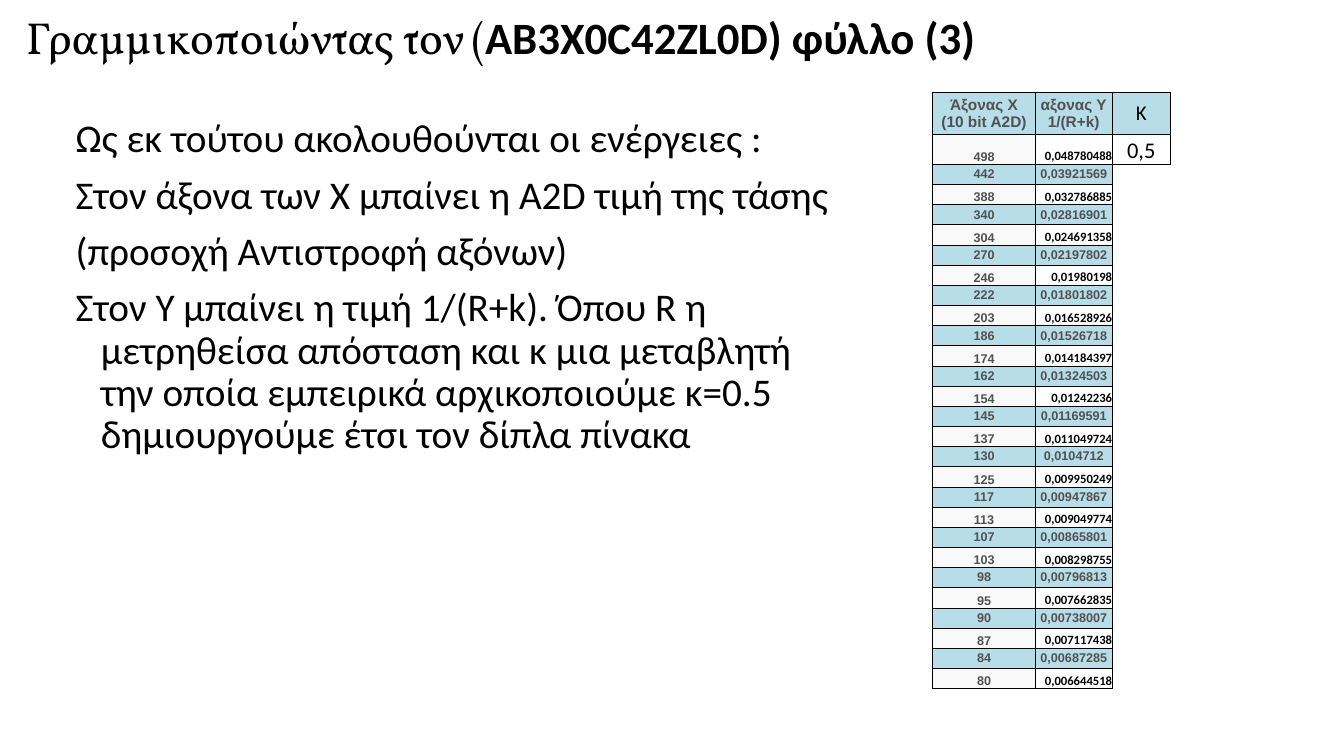
from lxml import etree
from pptx import Presentation
from pptx import util as u
from pptx.dml.color import RGBColor
from pptx.enum import text
from pptx.oxml.ns import qn

BLACK = RGBColor(0x00, 0x00, 0x00)
GREY = RGBColor(0x51, 0x51, 0x51)
BLUE = RGBColor(0xB6, 0xDD, 0xE8)
PALE = RGBColor(0xF9, 0xF9, 0xF9)

LEFT, CENTER, RIGHT = text.PP_ALIGN.LEFT, text.PP_ALIGN.CENTER, text.PP_ALIGN.RIGHT
MIDDLE, BOTTOM = text.MSO_ANCHOR.MIDDLE, text.MSO_ANCHOR.BOTTOM

STEPS = [
    "Ως εκ τούτου ακολουθούνται οι ενέργειες :",
    "Στον άξονα των Χ μπαίνει η A2D τιμή της τάσης",
    "(προσοχή Αντιστροφή αξόνων)",
    "Στον Y μπαίνει η τιμή 1/(R+k). Όπου R η μετρηθείσα απόσταση και κ μια μεταβλητή "
    "την οποία εμπειρικά αρχικοποιούμε κ=0.5 δημιουργούμε έτσι τον δίπλα πίνακα",
]
READINGS = [
    ("498", "0,048780488"), ("442", "0,03921569"), ("388", "0,032786885"),
    ("340", "0,02816901"), ("304", "0,024691358"), ("270", "0,02197802"),
    ("246", "0,01980198"), ("222", "0,01801802"), ("203", "0,016528926"),
    ("186", "0,01526718"), ("174", "0,014184397"), ("162", "0,01324503"),
    ("154", "0,01242236"), ("145", "0,01169591"), ("137", "0,011049724"),
    ("130", "0,0104712"), ("125", "0,009950249"), ("117", "0,00947867"),
    ("113", "0,009049774"), ("107", "0,00865801"), ("103", "0,008298755"),
    ("98", "0,00796813"), ("95", "0,007662835"), ("90", "0,00738007"),
    ("87", "0,007117438"), ("84", "0,00687285"), ("80", "0,006644518"),
]


def place(holder, left, top, width, height):
    holder.left, holder.top = u.Inches(left), u.Inches(top)
    holder.width, holder.height = u.Inches(width), u.Inches(height)
    holder.text_frame.word_wrap = True
    holder.text_frame.auto_size = text.MSO_AUTO_SIZE.NONE


def add_run(paragraph, words, size, font, color=BLACK, bold=False):
    run = paragraph.add_run()
    run.text = words
    run.font.size, run.font.name = u.Pt(size), font
    run.font.color.rgb, run.font.bold = color, bold


def add_title(slide):
    title = slide.shapes.title
    place(title, 0.16, -0.03, 12.6, 0.85)
    title.text_frame.vertical_anchor = MIDDLE
    heading = title.text_frame.paragraphs[0]
    heading.alignment, heading.line_spacing = LEFT, 0.9
    add_run(heading, "Γραμμικοποιώντας τον (", 32, "Vollkorn")
    add_run(heading, "AB3X0C42ZL0D) φύλλο (3)", 32, "Calibri", bold=True)


def add_steps(slide):
    body = slide.placeholders[1]
    place(body, 0.65, 1.13, 7.9, 5.96)
    for i, step in enumerate(STEPS):
        line = body.text_frame.add_paragraph() if i else body.text_frame.paragraphs[0]
        line.line_spacing = 0.9
        line.space_before = u.Pt(10 if i else 0)
        properties = line._p.get_or_add_pPr()
        properties.set("marL", str(u.Inches(0.25)))
        properties.set("indent", str(-u.Inches(0.25)))
        etree.SubElement(properties, qn("a:buNone"))
        add_run(line, step, 28, "Calibri")


def set_borders(cell, drawn):
    """Draw a thin black line on the given sides and none on the others."""
    properties = cell._tc.get_or_add_tcPr()
    for side in "LRTB":
        line = etree.SubElement(properties, qn(f"a:ln{side}"), w=str(u.Pt(0.5)))
        if side in drawn:
            fill = etree.SubElement(line, qn("a:solidFill"))
            etree.SubElement(fill, qn("a:srgbClr"), val=str(BLACK))
        else:
            etree.SubElement(line, qn("a:noFill"))


def format_cell(cell, fill=None, anchor=MIDDLE, borders="LRTB"):
    cell.margin_left = cell.margin_right = cell.margin_top = cell.margin_bottom = 0
    cell.vertical_anchor = anchor
    set_borders(cell, borders)
    if fill is None:
        cell.fill.background()
    else:
        cell.fill.solid()
        cell.fill.fore_color.rgb = fill


def fill_cell(cell, words, size, font, color, bold, align=CENTER, **style):
    format_cell(cell, **style)
    paragraph = cell.text_frame.paragraphs[0]
    paragraph.alignment = align
    for i, part in enumerate(words.split("\n")):
        if i:
            paragraph.add_line_break()
        add_run(paragraph, part, size, font, color, bold)


def leave_empty(cell, borders):
    format_cell(cell, borders=borders)
    # Small end mark keeps the row from growing
    etree.SubElement(cell.text_frame.paragraphs[0]._p, qn("a:endParaRPr"), sz="900")


def add_readings(slide):
    rows = len(READINGS) + 1
    table = slide.shapes.add_table(rows, 3, u.Inches(9.25), u.Inches(0.92),
                                   u.Inches(2.36), u.Inches(5.93)).table
    table.first_row = table.horz_banding = False
    for column, width in zip(table.columns, (1.02, 0.76, 0.58)):
        column.width = u.Inches(width)
    for row, height in zip(table.rows, [0.41, 0.3] + [0.2] * (rows - 2)):
        row.height = u.Inches(height)

    # Header and the constant k
    for col, label in enumerate(("Άξονας Χ\n(10 bit A2D)", "αξονας Υ\n1/(R+k)")):
        fill_cell(table.cell(0, col), label, 11, "Arial", GREY, True, fill=BLUE)
    fill_cell(table.cell(0, 2), "Κ", 15, "Calibri", BLACK, False, fill=BLUE)
    fill_cell(table.cell(1, 2), "0,5", 16, "Calibri", BLACK, False, anchor=BOTTOM)

    # Alternating rows of readings
    for r, (voltage, inverse) in enumerate(READINGS, 1):
        x_cell, y_cell = table.cell(r, 0), table.cell(r, 1)
        if r % 2:
            fill_cell(x_cell, voltage, 9, "Arial", GREY, True, fill=PALE, anchor=BOTTOM)
            fill_cell(y_cell, inverse, 9, "Calibri", BLACK, True, RIGHT, anchor=BOTTOM)
        else:
            fill_cell(x_cell, voltage, 9, "Arial", GREY, True, fill=BLUE)
            fill_cell(y_cell, inverse, 9, "Arial", GREY, True, fill=BLUE)
        if r > 1:
            leave_empty(table.cell(r, 2), "LT" if r == 2 else "L")


def main():
    deck = Presentation()
    deck.slide_width, deck.slide_height = u.Inches(13.33), u.Inches(7.5)
    slide = deck.slides.add_slide(deck.slide_layouts[1])
    add_steps(slide)
    add_title(slide)
    add_readings(slide)
    deck.save("out.pptx")


if __name__ == "__main__":
    main()
